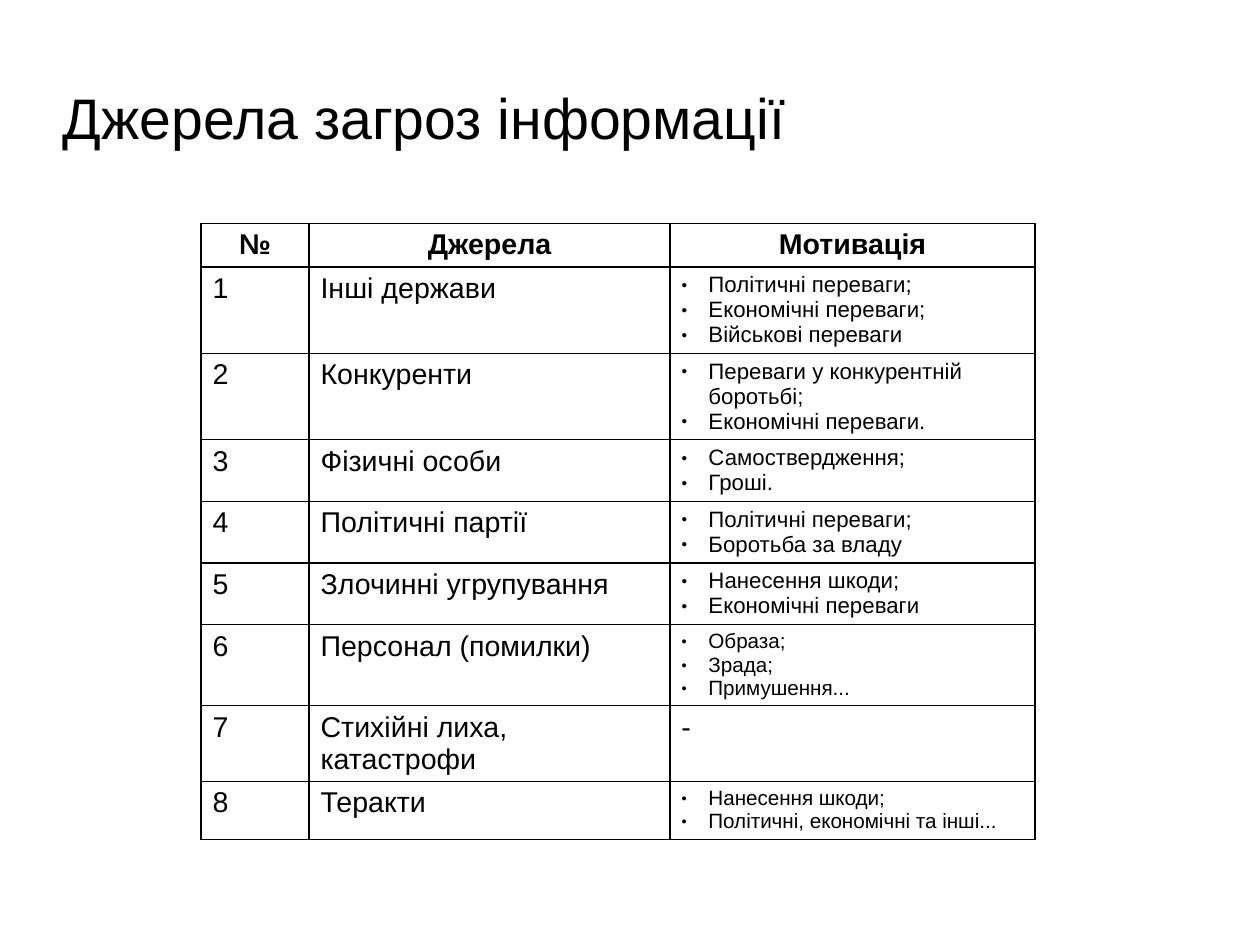
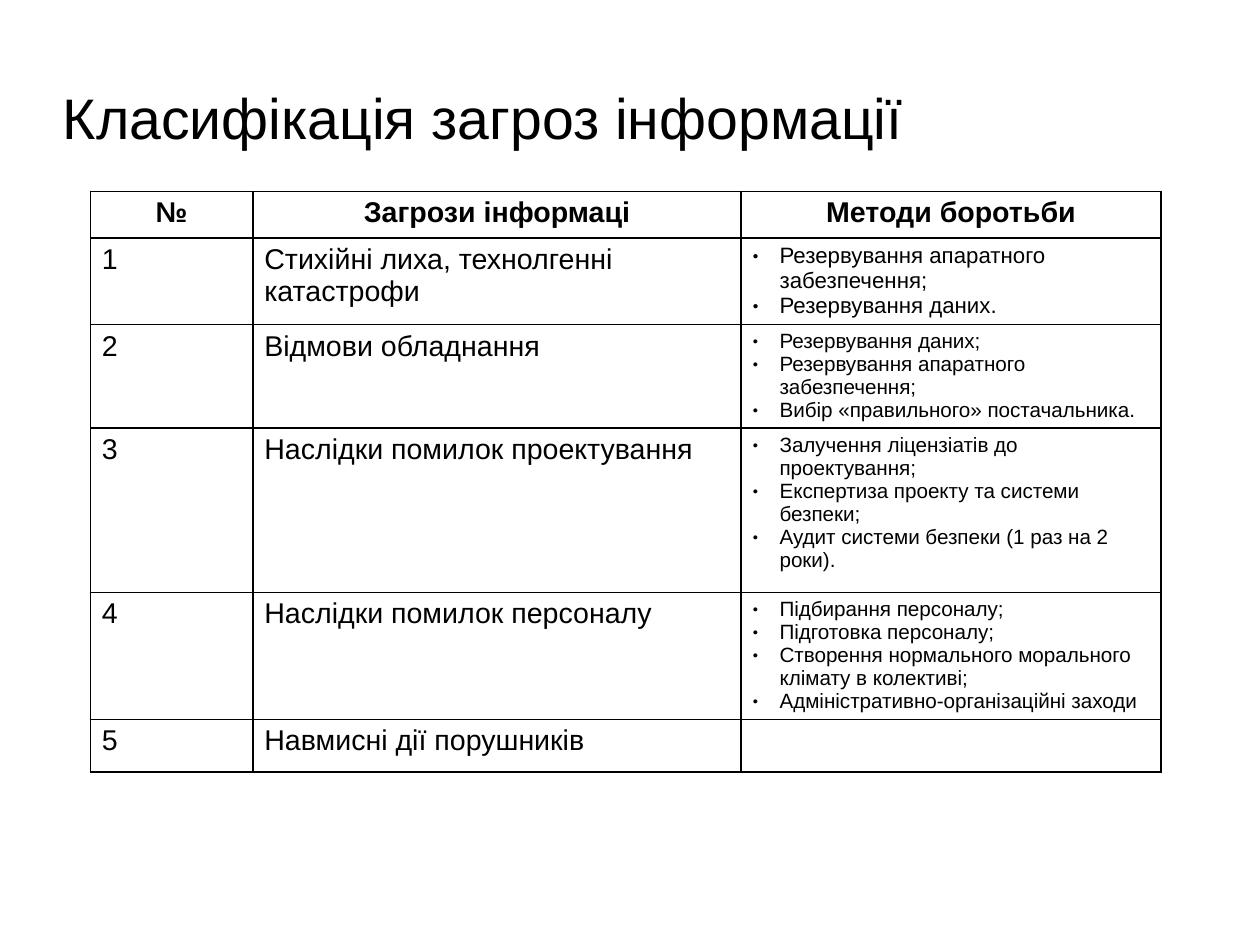
from lxml.etree import SubElement
from pptx import Presentation
from pptx.dml.color import RGBColor
from pptx.enum.text import MSO_ANCHOR, PP_ALIGN
from pptx.oxml import parse_xml
from pptx.oxml.ns import nsdecls, qn
from pptx.util import Cm, Pt

BLACK = RGBColor(0x00, 0x00, 0x00)
FONT = "Arial"
TITLE_BOX = (Cm(1.4), Cm(1.6), Cm(20), Cm(2))
BULLET_INDENT = Cm(0.6)

# Content: a list in the last column is bulleted, at the given size
SLIDES = [
    {
        "title": "Джерела загроз інформації",
        "left": 4.47, "top": 4.96,
        "columns": [2.4, 8.02, 8.11],
        "heights": [0.97, 1.92, 1.92, 1.37, 1.37, 1.37, 1.8, 1.68, 1.29],
        "header": ("№", "Джерела", "Мотивація"),
        "rows": [
            ("Інші держави", 14, ["Політичні переваги;", "Економічні переваги;",
                                  "Військові переваги"]),
            ("Конкуренти", 14, ["Переваги у конкурентній боротьбі;",
                                "Економічні переваги."]),
            ("Фізичні особи", 14, ["Самоствердження;", "Гроші."]),
            ("Політичні партії", 14, ["Політичні переваги;", "Боротьба за владу"]),
            ("Злочинні угрупування", 14, ["Нанесення шкоди;", "Економічні переваги"]),
            ("Персонал (помилки)", 13, ["Образа;", "Зрада;", "Примушення..."]),
            ("Стихійні лиха, катастрофи", 18, "-"),
            ("Теракти", 13, ["Нанесення шкоди;", "Політичні, економічні та інші..."]),
        ],
    },
    {
        "title": "Класифікація загроз інформації",
        "left": 2.01, "top": 4.25,
        "columns": [3.61, 10.85, 9.33],
        "heights": [1.04, 1.92, 2.3, 3.65, 2.82, 1.17],
        "header": ("№", "Загрози інформаці", "Методи боротьби"),
        "rows": [
            ("Стихійні лиха, технолгенні катастрофи", 14,
             ["Резервування апаратного забезпечення;", "Резервування даних."]),
            ("Відмови обладнання", 13,
             ["Резервування даних;", "Резервування апаратного забезпечення;",
              "Вибір «правильного» постачальника."]),
            ("Наслідки помилок проектування", 13,
             ["Залучення ліцензіатів до проектування;",
              "Експертиза проекту та системи безпеки;",
              "Аудит системи безпеки (1 раз на 2 роки)."]),
            ("Наслідки помилок персоналу", 13,
             ["Підбирання персоналу;", "Підготовка персоналу;",
              "Створення нормального морального клімату в колективі;",
              "Адміністративно-організаційні заходи"]),
            ("Навмисні дії порушників", 18, ""),
        ],
    },
]


def add_bullet(paragraph):
    properties = paragraph._p.get_or_add_pPr()
    properties.set("marL", str(BULLET_INDENT))
    properties.set("indent", str(-BULLET_INDENT))
    SubElement(properties, qn("a:buSzPct")).set("val", "45000")
    SubElement(properties, qn("a:buFont")).set("typeface", FONT)
    SubElement(properties, qn("a:buChar")).set("char", "●")


def write_text(frame, text, size=18, bold=False, align=PP_ALIGN.LEFT):
    """Write a string as one paragraph, or a list as bulleted paragraphs."""
    bulleted = isinstance(text, list)
    for index, line in enumerate(text if bulleted else [text]):
        paragraph = frame.add_paragraph() if index else frame.paragraphs[0]
        paragraph.alignment = align
        if bulleted:
            add_bullet(paragraph)
        if line:
            run = paragraph.add_run()
            run.text = line
            font = run.font
            font.name, font.size, font.bold = FONT, Pt(size), bold
            font.color.rgb = BLACK


def style_cell(cell):
    cell.fill.background()
    properties = cell._tc.get_or_add_tcPr()
    for index, side in enumerate("LRTB"):
        properties.insert(index, parse_xml(
            f'<a:ln{side} {nsdecls("a")} w="{Pt(1)}"><a:solidFill>'
            f'<a:srgbClr val="{BLACK}"/></a:solidFill></a:ln{side}>'))


def add_title(slide, text):
    title = slide.shapes.title
    title.left, title.top, title.width, title.height = TITLE_BOX
    frame = title.text_frame
    frame.margin_left = frame.margin_right = frame.margin_top = frame.margin_bottom = 0
    frame.vertical_anchor = MSO_ANCHOR.MIDDLE
    write_text(frame, text, size=36)


def add_grid(slide, content):
    columns, heights = content["columns"], content["heights"]
    table = slide.shapes.add_table(
        len(heights), len(columns), Cm(content["left"]), Cm(content["top"]),
        Cm(sum(columns)), Cm(sum(heights))).table
    table.first_row = table.horz_banding = False
    for column, width in zip(table.columns, columns):
        column.width = Cm(width)
    for row, height in zip(table.rows, heights):
        row.height = Cm(height)
    for cell in table.iter_cells():
        style_cell(cell)

    # Header, then numbered rows
    for index, text in enumerate(content["header"]):
        write_text(table.cell(0, index).text_frame, text, bold=True,
                   align=PP_ALIGN.CENTER)
    for number, (name, size, details) in enumerate(content["rows"], 1):
        write_text(table.cell(number, 0).text_frame, str(number))
        write_text(table.cell(number, 1).text_frame, name)
        write_text(table.cell(number, 2).text_frame, details, size=size)


def main():
    presentation = Presentation()
    presentation.slide_width, presentation.slide_height = Cm(28), Cm(21)
    title_only = presentation.slide_layouts[5]
    for content in SLIDES:
        slide = presentation.slides.add_slide(title_only)
        add_title(slide, content["title"])
        add_grid(slide, content)
    presentation.save("out.pptx")


if __name__ == "__main__":
    main()
